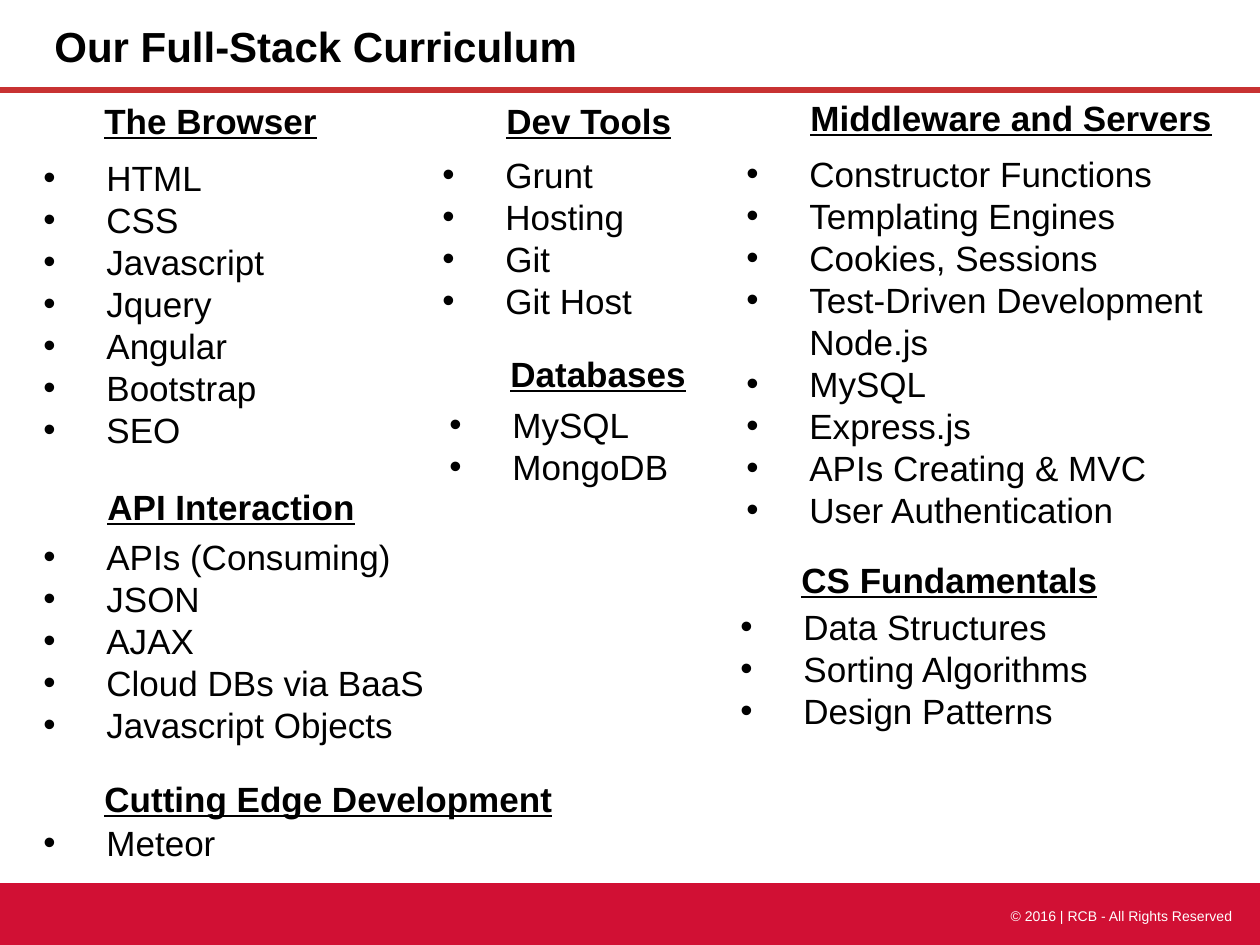
from lxml.etree import SubElement
from pptx import Presentation
from pptx.dml.color import RGBColor
from pptx.enum.shapes import MSO_CONNECTOR, MSO_SHAPE
from pptx.enum.text import MSO_ANCHOR, PP_ALIGN
from pptx.oxml.ns import qn
from pptx.util import Emu, Inches, Pt

PX_PER_INCH = 126
WIDTH, HEIGHT = 1260, 945
BLACK, WHITE, RULE_RED, FOOTER_RED = "000000", "FFFFFF", "C83232", "D11034"
HEADING_HEIGHT = 62
LIST_MARGIN, LIST_HANG, HEADING_MARGIN = 94, 63, 32

# Section box, heading (inset, width), list drop, heading text, topics
SECTIONS = [
    ((0, 87, 425, 337), (60, 301), 57, "The Browser",
     ["HTML", "CSS", "Javascript", "Jquery", "Angular", "Bootstrap", "SEO"]),
    ((399, 87, 265, 240), (63, 262), 54, "Dev Tools",
     ["Grunt", "Hosting", "Git", "Git Host"]),
    ((0, 473, 466, 302), (63, 318), 50, "API Interaction",
     ["APIs (Consuming)", "JSON", "AJAX", "Cloud DBs via BaaS",
      "Javascript Objects"]),
    ((703, 84, 529, 434), (63, 485), 56, "Middleware and Servers",
     ["Constructor Functions", "Templating Engines", "Cookies, Sessions",
      "Test-Driven Development Node.js", "MySQL", "Express.js",
      "APIs Creating & MVC", "User Authentication"]),
    ((406, 340, 294, 176), (60, 262), 51, "Databases",
     ["MySQL", "MongoDB"]),
    ((0, 765, 294, 98), (60, 538), 44, "Cutting Edge Development",
     ["Meteor"]),
    ((697, 546, 420, 172), (60, 357), 47, "CS Fundamentals",
     ["Data Structures", "Sorting Algorithms", "Design Patterns"]),
]


def px(length):
    return Emu(round(length * 914400 / PX_PER_INCH))


def color(hex_value):
    return RGBColor.from_string(hex_value)


def add_frame(slide, box, inset=0.1):
    frame = slide.shapes.add_textbox(*map(px, box)).text_frame
    frame.word_wrap = True
    frame.vertical_anchor = MSO_ANCHOR.TOP
    frame.margin_left = frame.margin_right = Inches(0.1)
    frame.margin_top = frame.margin_bottom = Inches(inset)
    return frame


def add_run(paragraph, text, size, ink=BLACK, bold=False, underline=False):
    run = paragraph.add_run()
    run.text = text
    font = run.font
    font.name, font.size = "Arial", Pt(size)
    font.bold, font.underline = bold, underline
    font.color.rgb = color(ink)


def indent(paragraph, margin, hang=0, bullet=None):
    properties = paragraph._p.get_or_add_pPr()
    properties.set("marL", str(px(margin)))
    properties.set("indent", str(-px(hang)))
    if bullet:
        SubElement(properties, qn("a:buFont")).set("typeface", "Arial")
        SubElement(properties, qn("a:buChar")).set("char", bullet)
    paragraph.line_spacing = Pt(24)


def add_header(slide, box):
    left, top, width, height = box
    title = add_frame(slide, (left + 42, top + 14, 735, 63), 0.05)
    add_run(title.paragraphs[0], "Our Full-Stack Curriculum", 24, bold=True)
    # Rule along the bottom edge
    bottom = top + height
    rule = slide.shapes.add_connector(
        MSO_CONNECTOR.STRAIGHT, px(left), px(bottom), px(left + width), px(bottom))
    rule.line.color.rgb = color(RULE_RED)
    rule.line.width = Pt(3.25)
    SubElement(rule._element.spPr, qn("a:effectLst"))


def add_section(slide, box, heading_place, drop, heading, topics):
    left, top, width, height = box
    inset, heading_width = heading_place
    # Topics
    topic_list = add_frame(slide, (left, top + drop, width, height - drop))
    for index, topic in enumerate(topics):
        line = topic_list.add_paragraph() if index else topic_list.paragraphs[0]
        indent(line, LIST_MARGIN, LIST_HANG, "•")
        add_run(line, topic, 20)
    # Heading
    title = add_frame(slide, (left + inset, top, heading_width, HEADING_HEIGHT))
    indent(title.paragraphs[0], HEADING_MARGIN)
    add_run(title.paragraphs[0], heading, 20, bold=True, underline=True)


def add_footer(slide, box):
    left, top, width, height = box
    band = slide.shapes.add_shape(MSO_SHAPE.FLOWCHART_PROCESS, *map(px, box))
    band.shadow.inherit = False
    band.fill.solid()
    band.fill.fore_color.rgb = color(FOOTER_RED)
    band.line.fill.background()
    # Copyright line
    copyright_line = add_frame(
        slide, (left + width - 399, top + 18, 384, 30), 0.05).paragraphs[0]
    copyright_line.alignment = PP_ALIGN.RIGHT
    add_run(copyright_line, "© 2016 | RCB - All Rights Reserved", 8, WHITE)


def main():
    deck = Presentation()
    deck.slide_width, deck.slide_height = px(WIDTH), px(HEIGHT)
    slide = deck.slides.add_slide(deck.slide_layouts[6])
    add_header(slide, (0, 0, WIDTH, 90))
    for section in SECTIONS:
        add_section(slide, *section)
    add_footer(slide, (-1, 883, WIDTH + 1, 63))
    deck.save("out.pptx")


if __name__ == "__main__":
    main()
